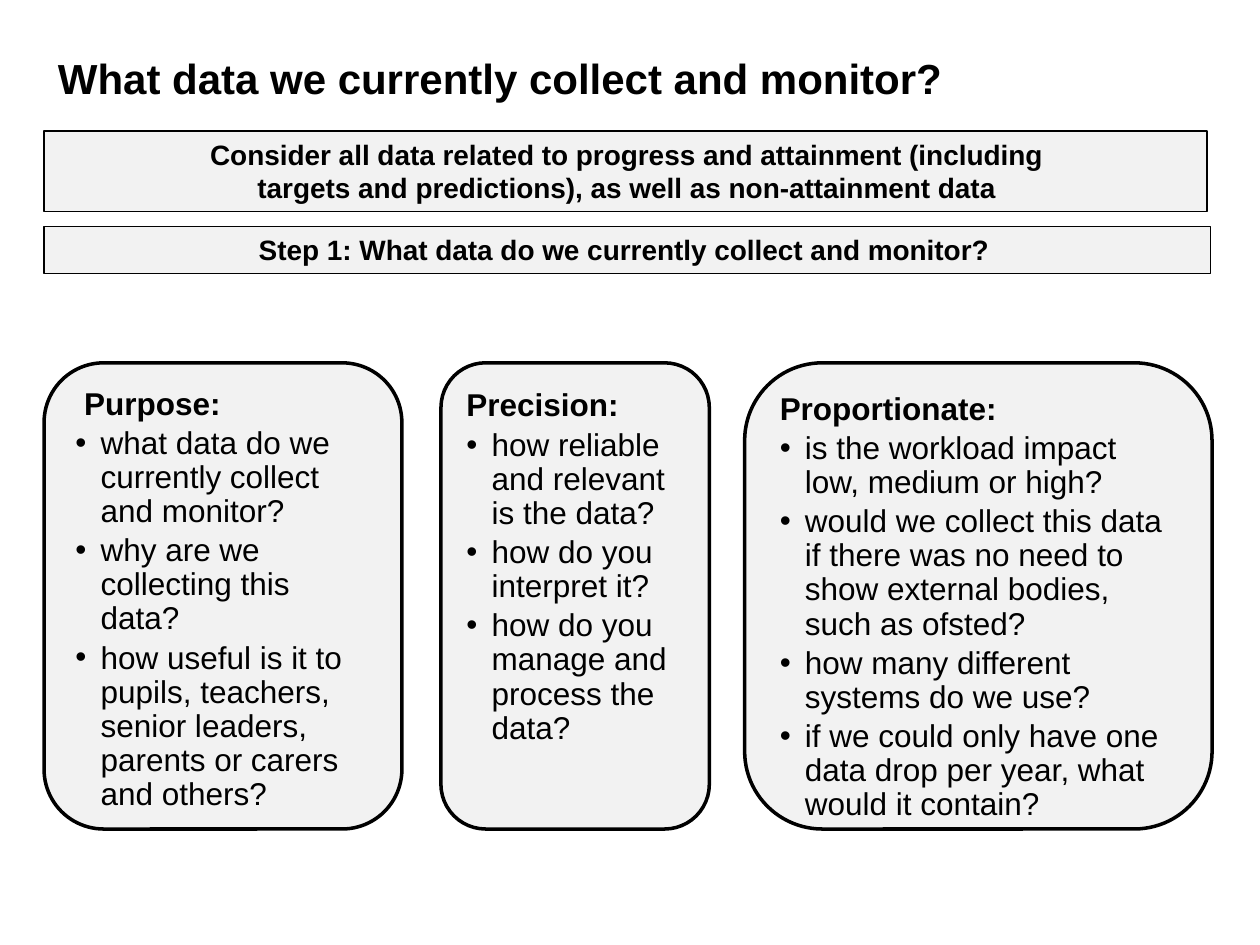
from lxml.etree import SubElement
from pptx import Presentation
from pptx.dml.color import RGBColor
from pptx.enum.shapes import MSO_SHAPE
from pptx.enum.text import MSO_ANCHOR, PP_ALIGN
from pptx.oxml.ns import qn
from pptx.util import Inches, Pt

COLORS = {"ink": "000000", "panel": "F2F2F2"}
LEFT = 0.35
CARD_TOP, CARD_HEIGHT = 2.88, 3.7


def write_text(para, text, size=18, bold=False, align=PP_ALIGN.LEFT,
               spacing=1.0, after=0, indent=0, bullet=False):
    para.alignment = align
    para.line_spacing = spacing
    para.space_before = Pt(0)
    para.space_after = Pt(after)
    properties = para._p.get_or_add_pPr()
    properties.set("marL", str(Inches(indent)))
    properties.set("indent", str(Inches(-indent if bullet else 0)))
    if bullet:
        SubElement(properties, qn("a:buFont")).set("typeface", "Arial")
        SubElement(properties, qn("a:buChar")).set("char", "•")
    span = para.add_run()
    span.text = text
    span.font.name = "Arial"
    span.font.size = Pt(size)
    span.font.bold = bold
    span.font.color.rgb = RGBColor.from_string(COLORS["ink"])


def add_panel(kind, left, top, width, height, line_width):
    panel = page.shapes.add_shape(
        kind, Inches(left), Inches(top), Inches(width), Inches(height))
    panel.shadow.inherit = False
    panel.fill.solid()
    panel.fill.fore_color.rgb = RGBColor.from_string(COLORS["panel"])
    panel.line.color.rgb = RGBColor.from_string(COLORS["ink"])
    panel.line.width = Pt(line_width)
    panel.text_frame.word_wrap = True
    panel.text_frame.vertical_anchor = MSO_ANCHOR.TOP
    return panel


deck = Presentation()
deck.slide_width = Inches(10)
deck.slide_height = Inches(7.5)
page = deck.slides.add_slide(deck.slide_layouts[6])

title = page.shapes.add_textbox(Inches(LEFT), Inches(0.26), Inches(8.5), Inches(0.71))
title.text_frame.word_wrap = True
title.text_frame.margin_left = Inches(0.11)
title.text_frame.vertical_anchor = MSO_ANCHOR.MIDDLE
write_text(title.text_frame.paragraphs[0],
           "What data we currently collect and monitor?", size=24, bold=True)

banners = [
    (1.04, 9.23, 0.64, 1.11, 1.09,
     "Consider all data related to progress and attainment (including "
     "targets and predictions), as well as non-attainment data"),
    (1.8, 9.26, 0.37, 0.1, 0.15,
     "Step 1: What data do we currently collect and monitor?"),
]
for top, width, height, margin_left, margin_right, text in banners:
    banner = add_panel(MSO_SHAPE.RECTANGLE, LEFT, top, width, height, 0.75)
    banner.text_frame.margin_left = Inches(margin_left)
    banner.text_frame.margin_right = Inches(margin_right)
    write_text(banner.text_frame.paragraphs[0], text,
               size=16, bold=True, align=PP_ALIGN.CENTER)

cards = [
    (0.35, 2.84, 0.11, 0.06, 0.07, "Purpose:", [
        "what data do we currently collect and monitor?",
        "why are we collecting this data?",
        "how useful is it to pupils, teachers, senior leaders, "
        "parents or carers and others?",
    ]),
    (3.5, 2.13, 0.1, 0.11, 0, "Precision:", [
        "how reliable and relevant is the data?",
        "how do you interpret it?",
        "how do you manage and process the data?",
    ]),
    (5.91, 3.71, 0.1, 0.06, 0, "Proportionate:", [
        "is the workload impact low, medium or high?",
        "would we collect this data if there was no need to show "
        "external bodies, such as ofsted?",
        "how many different systems do we use?",
        "if we could only have one data drop per year, what would it contain?",
    ]),
]
for left, width, margin_left, margin_top, heading_indent, heading, questions in cards:
    card = add_panel(MSO_SHAPE.ROUNDED_RECTANGLE, left, CARD_TOP, width, CARD_HEIGHT, 2)
    frame = card.text_frame
    frame.margin_left = Inches(margin_left)
    frame.margin_top = Inches(margin_top)
    frame.margin_bottom = Inches(0)
    write_text(frame.paragraphs[0], heading, bold=True,
               spacing=0.9, after=3, indent=heading_indent)
    for question in questions:
        write_text(frame.add_paragraph(), question,
                   spacing=0.9, after=3, indent=0.2, bullet=True)

deck.save("out.pptx")
